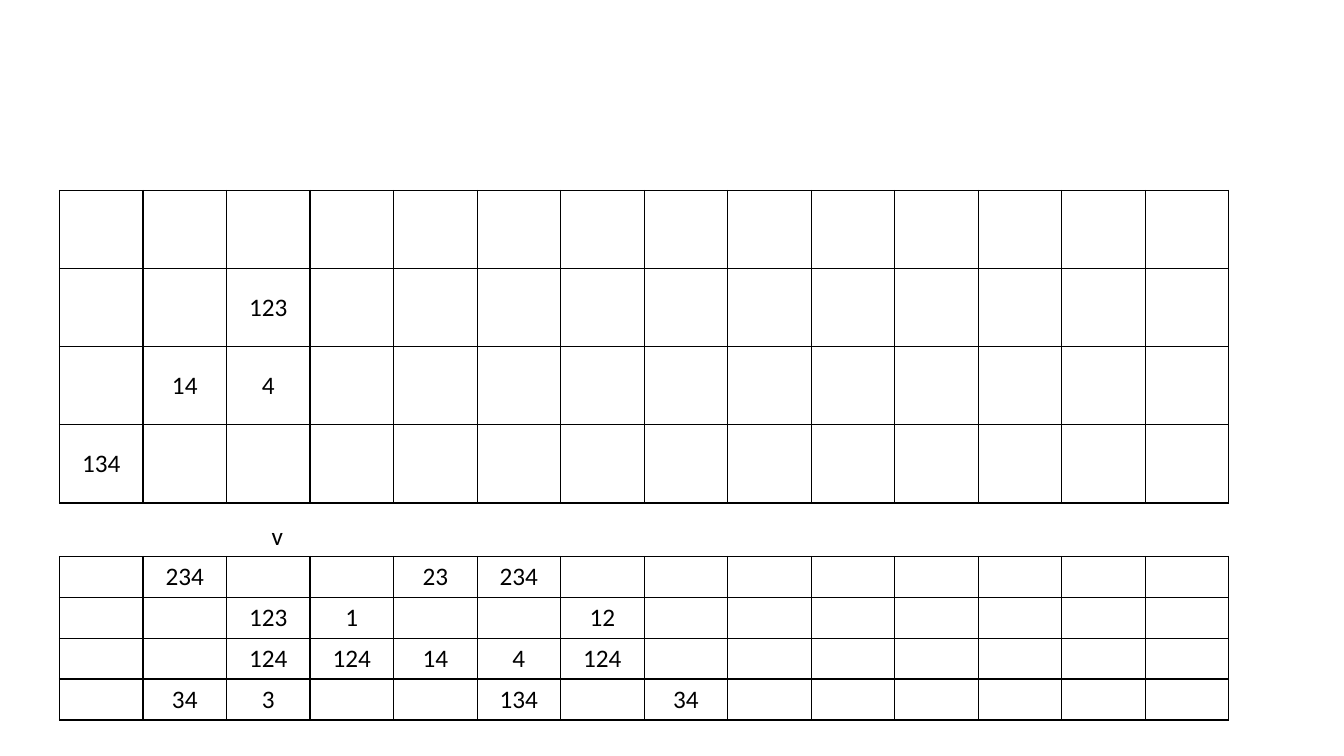
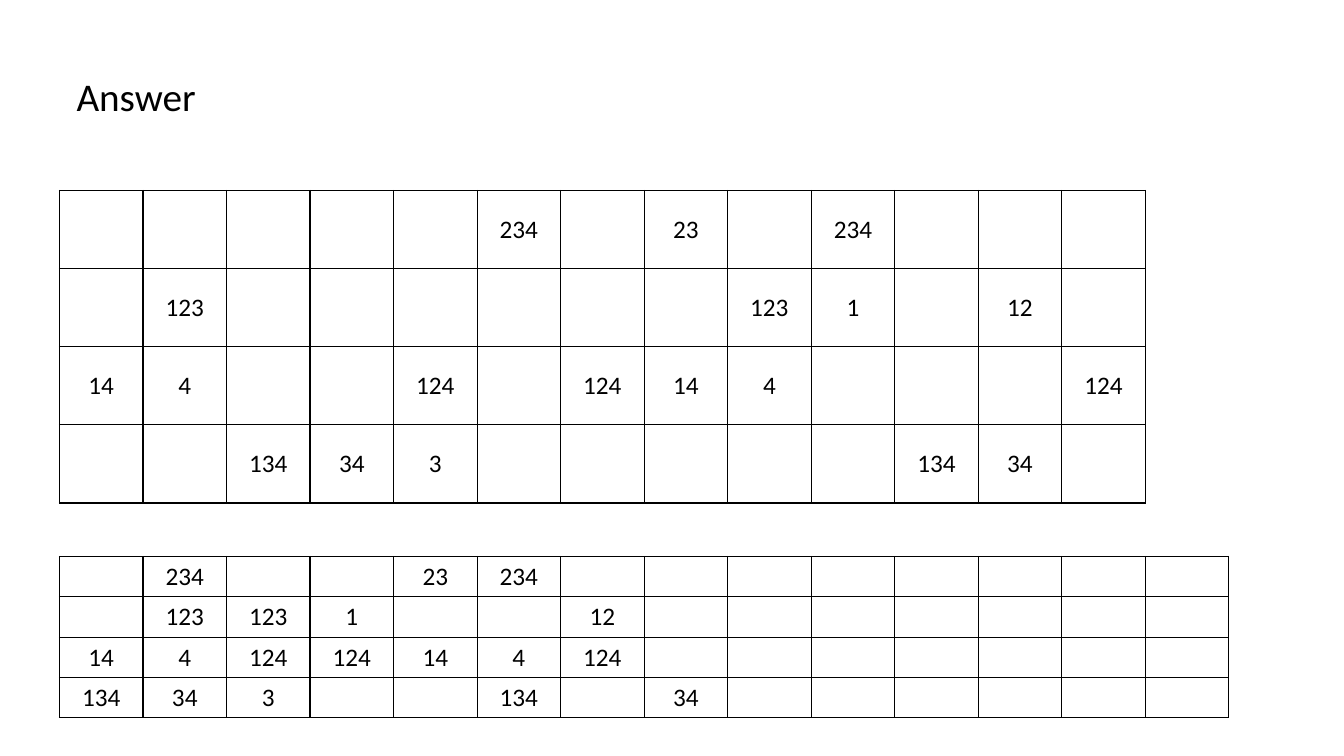
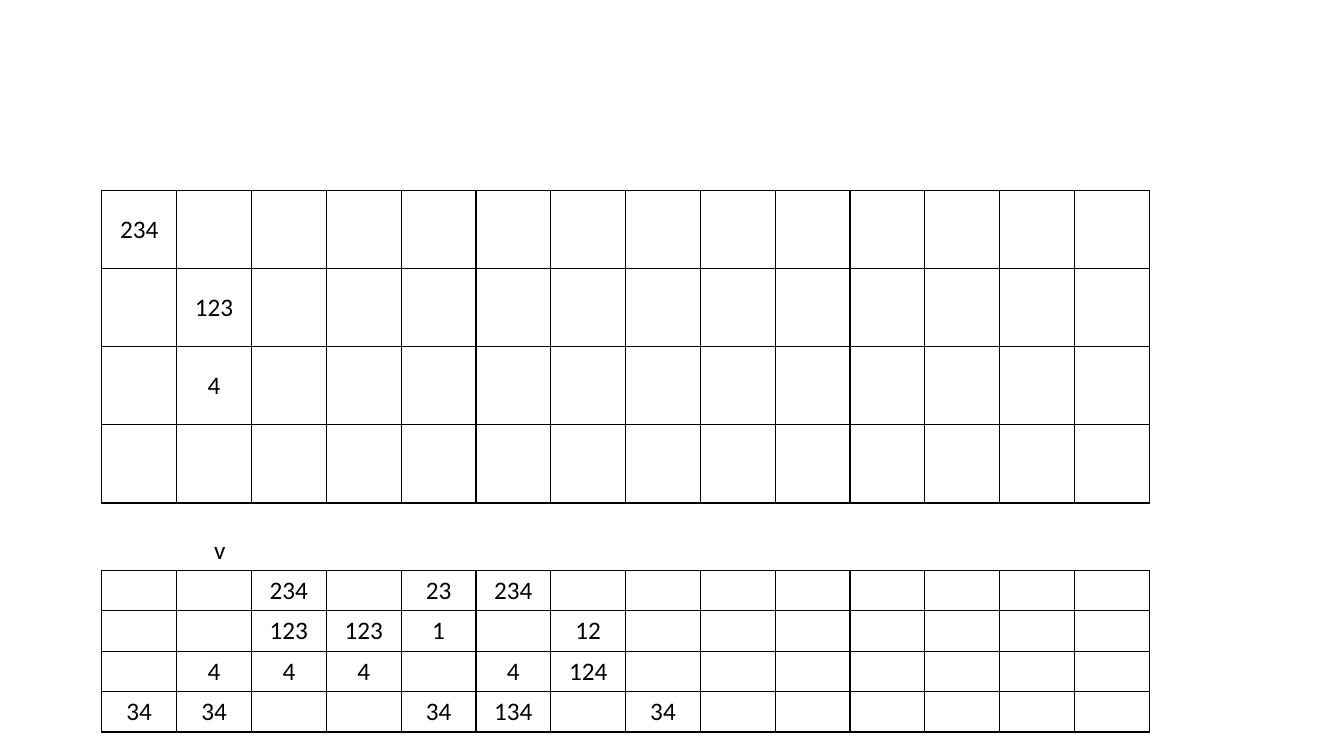
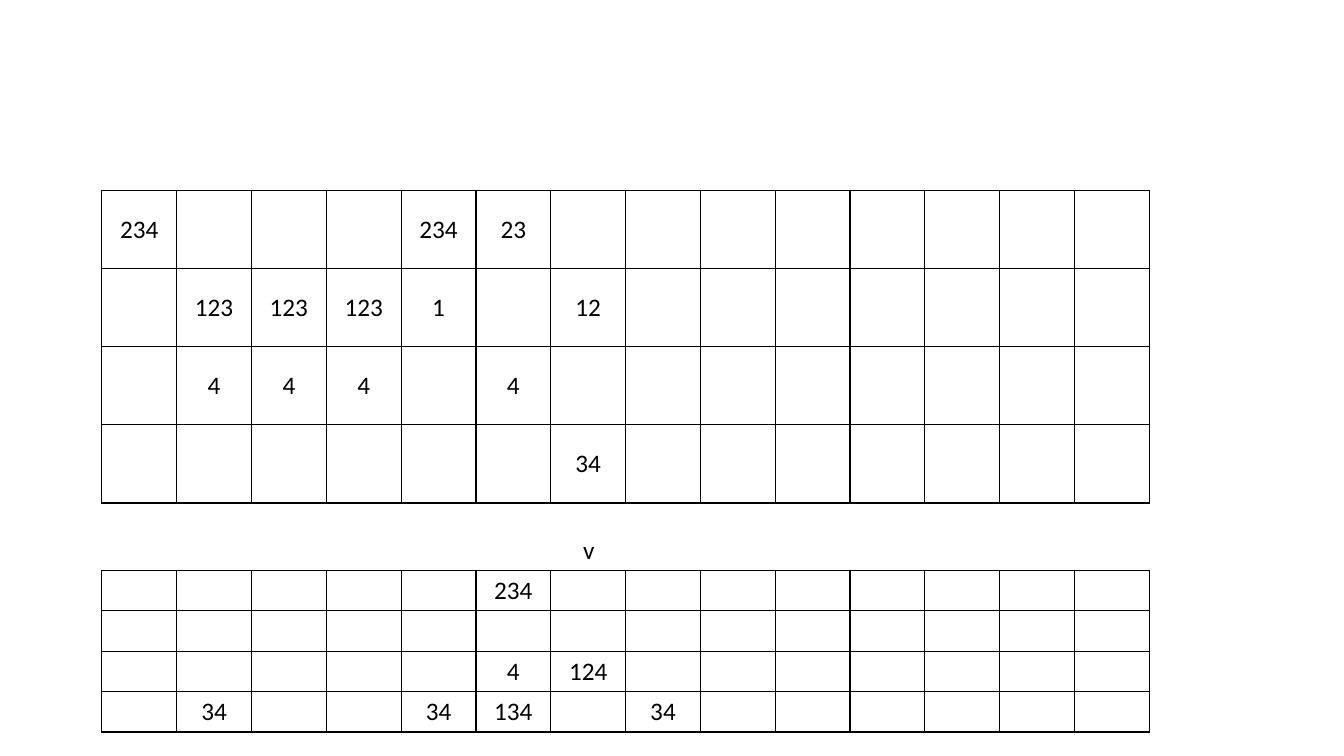
import pptx
import pptx.util
import pptx.dml.color
import pptx.enum.text
import pptx.oxml

prs = pptx.Presentation()
prs.slide_width = pptx.util.Inches(13.33)
prs.slide_height = pptx.util.Inches(7.5)

# Shared look
FONT, BLACK, WHITE = "Calibri", "000000", "FFFFFF"
CENTER = pptx.enum.text.PP_ALIGN.CENTER
MIDDLE = pptx.enum.text.MSO_ANCHOR.MIDDLE
ROWS = 4
UPPER_TOP, UPPER_ROW = 1.89, 0.775
LOWER_ROW = 0.4
MARK_W, MARK_H, MARK_RISE = 0.32, 0.4, 0.41
BORDER = (
    '<a:{} xmlns:a="http://schemas.openxmlformats.org/drawingml/2006/main" w="12700">'
    '<a:solidFill><a:srgbClr val="{}"/></a:solidFill></a:{}>'
)

# Grids: left, width of 14 columns, top of the lower table
WIDE = (0.59, 11.6, 5.52)
NARROW = (1.01, 10.39, 5.66)
COLS = 14

# One entry a slide; "." is an empty cell, and short rows are blank to the end.
# Labels are text, left, top, width, height, size.
slides = [
    {
        "grid": WIDE, "upper_cols": 14,
        "upper": ["", ". . 123", ". 14 4", "134"],
        "lower": [". 234 . . 23 234",
                  ". . 123 1 . . 12",
                  ". . 124 124 14 4 124",
                  ". 34 3 . . 134 . 34"],
        "label": ("v", 2.59, WIDE[2] - MARK_RISE, MARK_W, MARK_H, 18),
    },
    {
        "grid": WIDE, "upper_cols": 13,
        "upper": [". . . . . 234 . 23 . 234",
                  ". 123 . . . . . . 123 1 . 12",
                  "14 4 . . 124 . 124 14 4 . . . 124",
                  ". . 134 34 3 . . . . . 134 34"],
        "lower": [". 234 . . 23 234",
                  ". 123 123 1 . . 12",
                  "14 4 124 124 14 4 124",
                  "134 34 3 . . 134 . 34"],
        "label": ("Answer", 0.65, 0.67, 1.4, 0.57, 28),
    },
    {
        "grid": NARROW, "upper_cols": 14,
        "upper": ["234", ". 123", ". 4", ""],
        "lower": [". . 234 . 23 234",
                  ". . 123 123 1 . 12",
                  ". 4 4 4 . 4 124",
                  "34 34 . . 34 134 . 34"],
        "label": ("v", 2.02, NARROW[2] - MARK_RISE, MARK_W, MARK_H, 18),
    },
    {
        "grid": NARROW, "upper_cols": 14,
        "upper": ["234 . . . 234 23",
                  ". 123 123 123 1 . 12",
                  ". 4 4 4 . 4",
                  ". . . . . . 34"],
        "lower": [". . . . . 234",
                  "",
                  ". . . . . 4 124",
                  ". 34 . . 34 134 . 34"],
        "label": ("v", 5.68, NARROW[2] - MARK_RISE, MARK_W, MARK_H, 18),
    },
]


def color(value):
    return pptx.dml.color.RGBColor.from_string(value)


def write(tf, text, size):
    p = tf.paragraphs[0]
    p.text = text
    p.alignment = CENTER
    p.font.size = pptx.util.Pt(size)
    for r in p.runs:
        r.font.name = FONT
        r.font.size = pptx.util.Pt(size)
        r.font.color.rgb = color(BLACK)


for page in slides:
    s = prs.slides.add_slide(prs.slide_layouts[6])
    left, width, lower_top = page["grid"]
    col_w = width / COLS

    # Upper and lower tables
    for rows, cols, top, row_h in (
        (page["upper"], page["upper_cols"], UPPER_TOP, UPPER_ROW),
        (page["lower"], COLS, lower_top, LOWER_ROW),
    ):
        table = s.shapes.add_table(
            ROWS, cols,
            pptx.util.Inches(left), pptx.util.Inches(top),
            pptx.util.Inches(col_w * cols), pptx.util.Inches(row_h * ROWS),
        ).table
        table.first_row = False
        table.horz_banding = False
        for i, line in enumerate(rows):
            values = line.split()
            for j in range(cols):
                cell = table.cell(i, j)
                cell.vertical_anchor = MIDDLE
                if j < len(values) and values[j] != ".":
                    write(cell.text_frame, values[j], 18)
                tc_pr = cell._tc.get_or_add_tcPr()
                for side in ("lnL", "lnR", "lnT", "lnB"):
                    tc_pr.append(pptx.oxml.parse_xml(BORDER.format(side, BLACK, side)))
                cell.fill.solid()
                cell.fill.fore_color.rgb = color(WHITE)

    # Column marker or heading
    text, x, y, w, h, size = page["label"]
    tf = s.shapes.add_textbox(*[pptx.util.Inches(v) for v in (x, y, w, h)]).text_frame
    tf.word_wrap = False
    tf.auto_size = pptx.enum.text.MSO_AUTO_SIZE.SHAPE_TO_FIT_TEXT
    write(tf, text, size)

prs.save("out.pptx")
